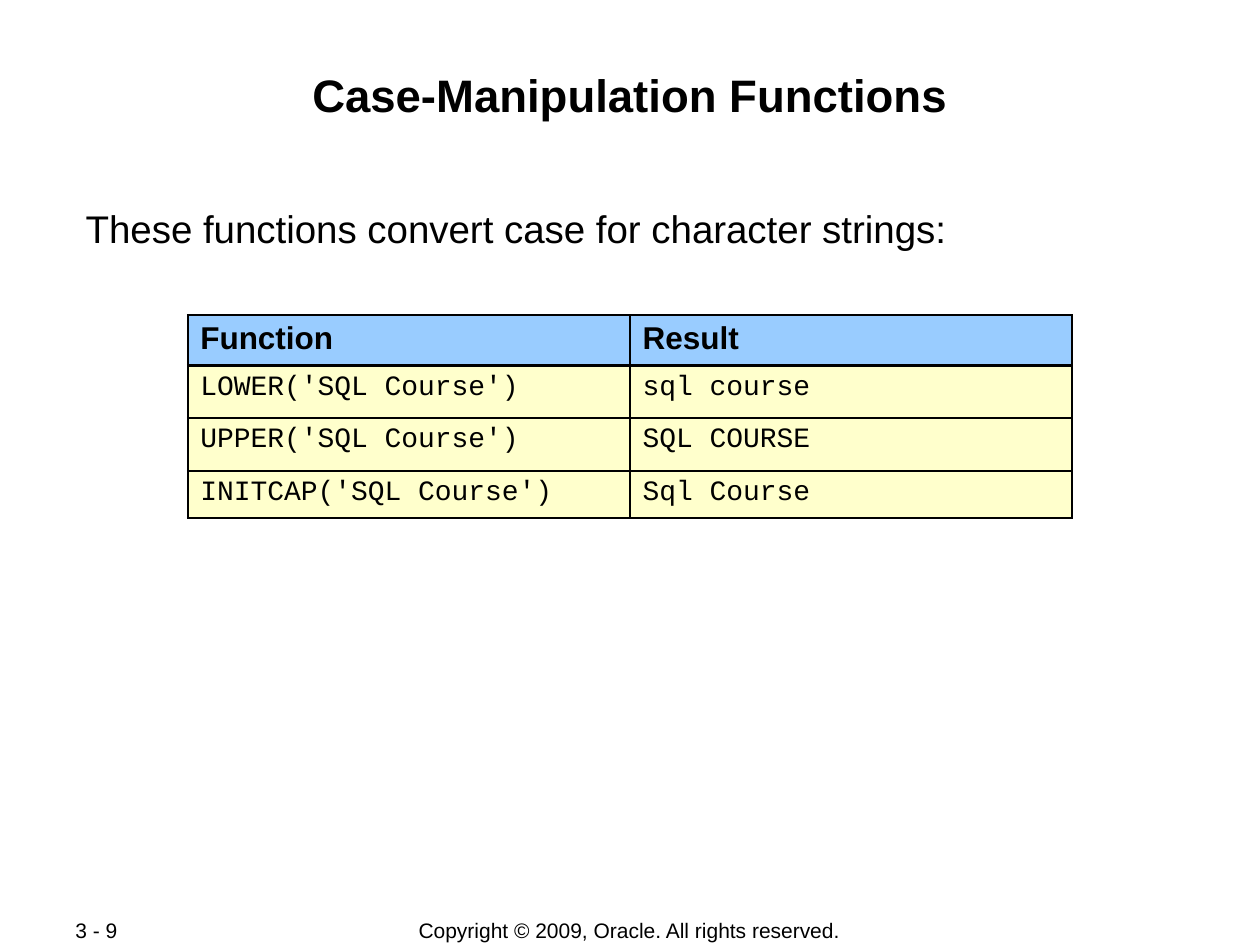
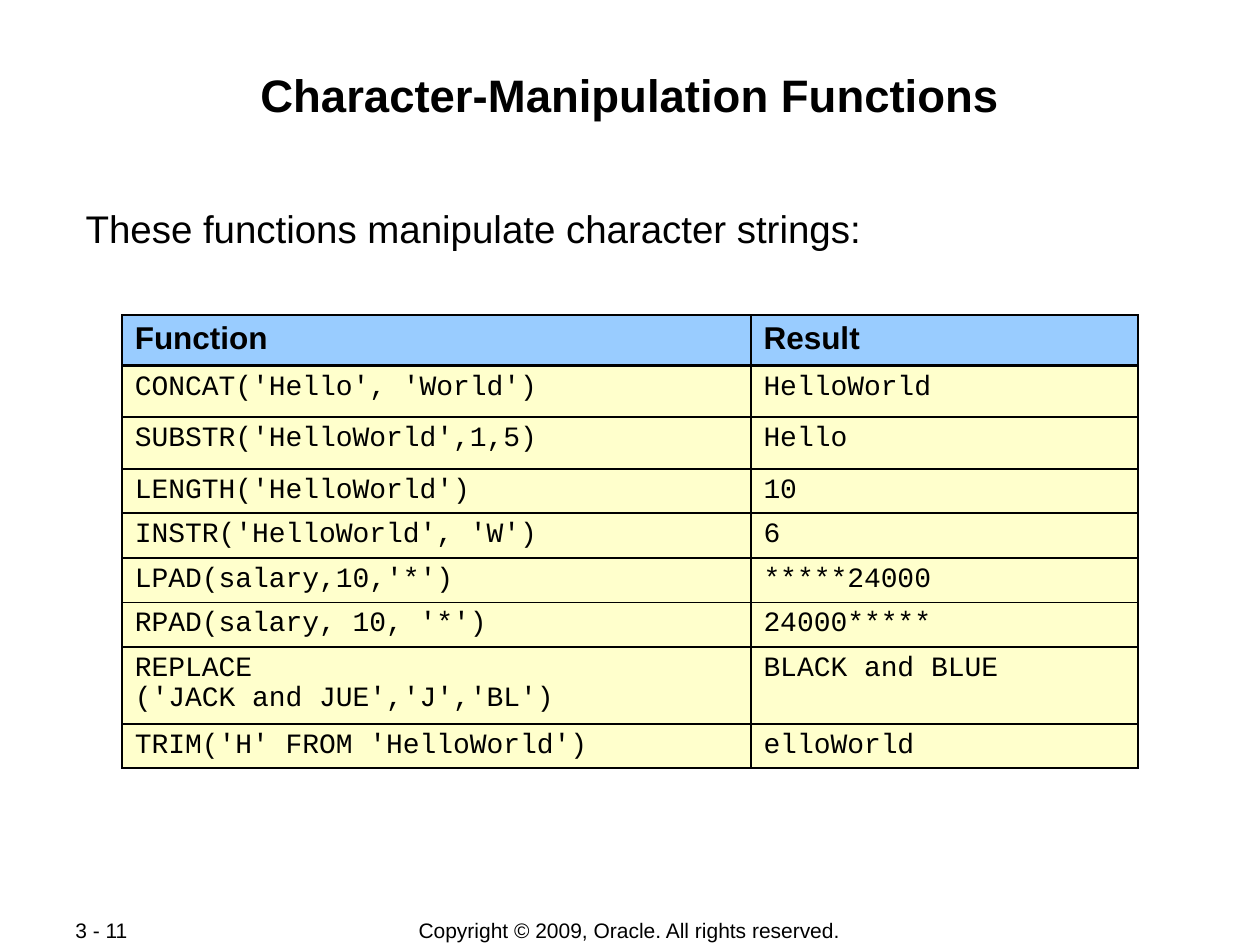
from dataclasses import dataclass

from lxml.etree import SubElement
from pptx import Presentation
from pptx.dml.color import RGBColor
from pptx.enum.text import MSO_ANCHOR, PP_ALIGN
from pptx.oxml.ns import qn
from pptx.util import Inches, Pt

# Shared style
BLACK = RGBColor(0x00, 0x00, 0x00)
BLUE = RGBColor(0x99, 0xCC, 0xFF)
CREAM = RGBColor(0xFF, 0xFF, 0xCC)
SANS = "Arial"
MONO = "Courier New"
RULE = 1.08
NOTICE = "Copyright © 2009, Oracle. All rights reserved."
HEAD = ("Function", "Result")


@dataclass(frozen=True)
class Style:
    size: float
    font: str = SANS
    bold: bool = False
    align: PP_ALIGN = PP_ALIGN.LEFT
    space: float = 1.0


@dataclass(frozen=True)
class Box:
    left: float
    top: float
    width: float
    height: float

    def sides(self) -> tuple:
        return tuple(map(Inches, (self.left, self.top, self.width, self.height)))


@dataclass(frozen=True)
class Page:
    title: str
    lead: str
    number: str
    left: float
    cols: tuple
    heights: tuple
    rule: float  # line under the header row, in points
    rows: tuple


TITLE = Style(26, bold=True, align=PP_ALIGN.CENTER)
LEAD = Style(22)
NOTE = Style(12, align=PP_ALIGN.CENTER)
NUMBER = Style(12)
HEADER = Style(18, bold=True)
CODE = Style(16, MONO, space=0.95)

TITLE_BOX = Box(0.67, 0.48, 8.66, 0.96)
LEAD_BOX = Box(0.67, 1.58, 8.66, 0.39)
NOTE_BOX = Box(2.75, 7.28, 4.49, 0.21)
NUMBER_BOX = Box(0.5, 7.28, 1.06, 0.2)
TABLE_TOP = 2.5

PAGES = (
    Page(
        "Case-Manipulation Functions",
        "These functions convert case for character strings:",
        "3 - 9",
        1.49, (3.51, 3.51), (0.4, 0.42, 0.42, 0.37), 1.47,
        (
            ("LOWER('SQL Course')", "sql course"),
            ("UPPER('SQL Course')", "SQL COURSE"),
            ("INITCAP('SQL Course')", "Sql Course"),
        ),
    ),
    Page(
        "Character-Manipulation Functions",
        "These functions manipulate character strings:",
        "3 - 11",
        0.97, (4.99, 3.07), (0.4, 0.41, 0.41, *[0.35] * 4, 0.61, 0.35), 2.21,
        (
            ("CONCAT('Hello', 'World')", "HelloWorld"),
            ("SUBSTR('HelloWorld',1,5)", "Hello"),
            ("LENGTH('HelloWorld')", "10"),
            ("INSTR('HelloWorld', 'W')", "6"),
            ("LPAD(salary,10,'*')", "*****24000"),
            ("RPAD(salary, 10, '*')", "24000*****"),
            ("REPLACE\n('JACK and JUE','J','BL')", "BLACK and BLUE"),
            ("TRIM('H' FROM 'HelloWorld')", "elloWorld"),
        ),
    ),
)


def write(frame, text: str, style: Style) -> None:
    """Fill a text frame with one paragraph, a run for each line."""
    para = frame.paragraphs[0]
    para.alignment = style.align
    para.line_spacing = style.space
    for i, line in enumerate(text.split("\n")):
        if i:
            para.add_line_break()
        run = para.add_run()
        run.text = line
        font = run.font
        font.name, font.size, font.bold = style.font, Pt(style.size), style.bold
        font.color.rgb = BLACK


def inset(frame, side: float, top: float) -> None:
    frame.word_wrap = True
    frame.vertical_anchor = MSO_ANCHOR.TOP
    frame.margin_left = frame.margin_right = frame.margin_bottom = Inches(side)
    frame.margin_top = Inches(top)


def add_text(slide, box: Box, text: str, style: Style):
    frame = slide.shapes.add_textbox(*box.sides()).text_frame
    frame.word_wrap = True
    frame.vertical_anchor = MSO_ANCHOR.MIDDLE
    write(frame, text, style)
    return frame


def add_edges(cell, top: float, bottom: float) -> None:
    """Draw the four borders of a cell, widths in points."""
    props = cell._tc.get_or_add_tcPr()
    for tag, width in (("L", RULE), ("R", RULE), ("T", top), ("B", bottom)):
        line = SubElement(props, qn(f"a:ln{tag}"), w=str(Pt(width)))
        fill = SubElement(line, qn("a:solidFill"))
        SubElement(fill, qn("a:srgbClr"), val=str(BLACK))


def add_grid(slide, page: Page) -> None:
    box = Box(page.left, TABLE_TOP, sum(page.cols), sum(page.heights))
    rows = (HEAD, *page.rows)
    table = slide.shapes.add_table(len(rows), len(HEAD), *box.sides()).table
    table.first_row = table.horz_banding = False
    for col, width in zip(table.columns, page.cols):
        col.width = Inches(width)
    for row, height in zip(table.rows, page.heights):
        row.height = Inches(height)
    for r, texts in enumerate(rows):
        for c, text in enumerate(texts):
            cell = table.cell(r, c)
            add_edges(cell, page.rule if r == 1 else RULE,
                      page.rule if r == 0 else RULE)
            cell.fill.solid()
            cell.fill.fore_color.rgb = CREAM if r else BLUE
            write(cell.text_frame, text, CODE if r else HEADER)


def add_page(deck, page: Page) -> None:
    slide = deck.slides.add_slide(deck.slide_layouts[5])

    # Footer
    add_text(slide, NOTE_BOX, NOTICE, NOTE)
    add_text(slide, NUMBER_BOX, page.number, NUMBER)

    # Title and lead line
    title = slide.shapes.title
    title.left, title.top, title.width, title.height = TITLE_BOX.sides()
    write(title.text_frame, page.title, TITLE)
    lead = add_text(slide, LEAD_BOX, page.lead, LEAD)
    for frame in (title.text_frame, lead):
        inset(frame, 0.01, 0.05)

    # Function table
    add_grid(slide, page)


def main() -> None:
    deck = Presentation()
    deck.slide_width, deck.slide_height = Inches(10), Inches(7.5)
    for page in PAGES:
        add_page(deck, page)
    deck.save("out.pptx")


if __name__ == "__main__":
    main()
